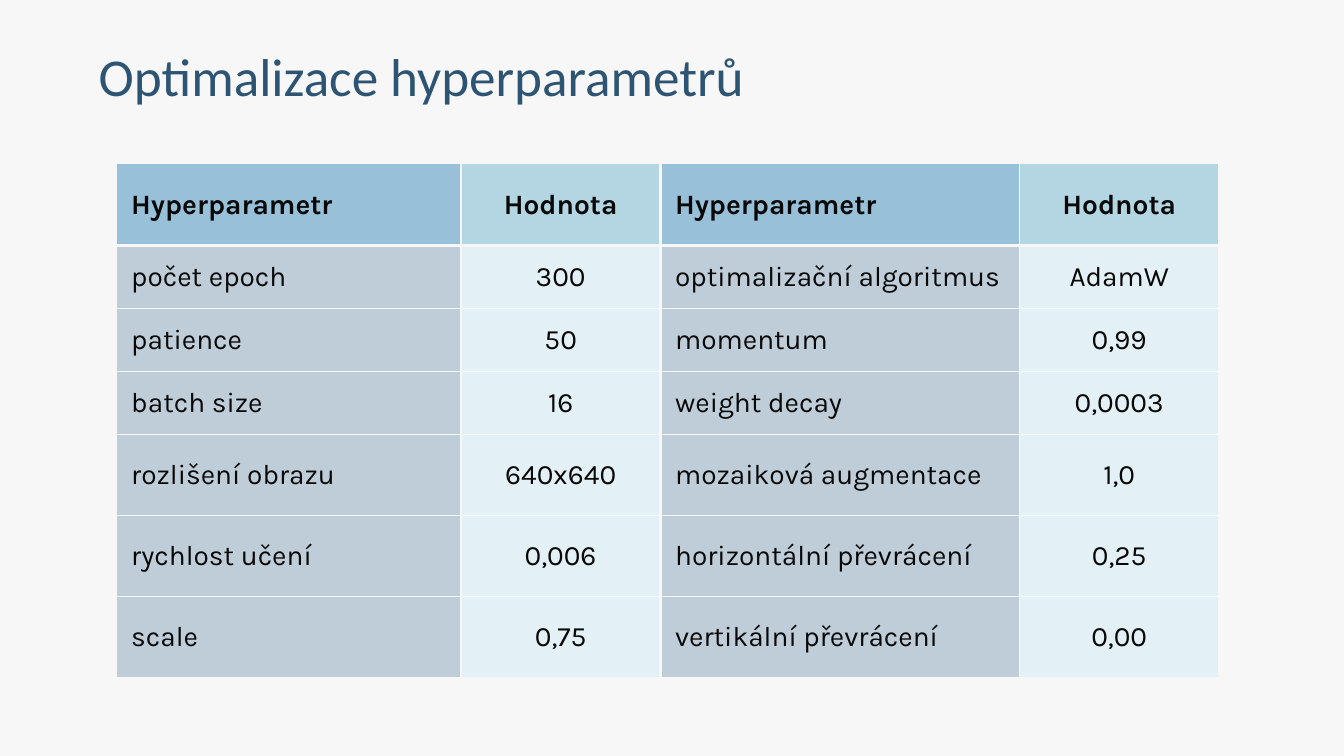
import pptx
import pptx.dml.color
import pptx.enum.text
import pptx.oxml
import pptx.oxml.ns
import pptx.util

PIXEL = 9525
BACKGROUND = pptx.dml.color.RGBColor(0xF7, 0xF7, 0xF7)
TITLE_BLUE = pptx.dml.color.RGBColor(0x2D, 0x55, 0x73)
INK = pptx.dml.color.RGBColor(0x08, 0x08, 0x08)
HEADER_NAME = pptx.dml.color.RGBColor(0x98, 0xC1, 0xD9)
HEADER_VALUE = pptx.dml.color.RGBColor(0xB4, 0xD6, 0xE3)
BODY_NAME = pptx.dml.color.RGBColor(0xBE, 0xCD, 0xD8)
BODY_VALUE = pptx.dml.color.RGBColor(0xE3, 0xF0, 0xF5)

COLUMN_WIDTHS = [328, 190, 342, 190]
ROW_HEIGHTS = [78, 59, 59, 59, 77, 77, 77]
HYPERPARAMETERS = [
    ["Hyperparametr", "Hodnota", "Hyperparametr", "Hodnota"],
    ["počet epoch", "300", "optimalizační algoritmus", "AdamW"],
    ["patience", "50", "momentum", "0,99"],
    ["batch size", "16", "weight decay", "0,0003"],
    ["rozlišení obrazu", "640x640", "mozaiková augmentace", "1,0"],
    ["rychlost učení", "0,006", "horizontální převrácení", "0,25"],
    ["scale", "0,75", "vertikální převrácení", "0,00"],
]


def px(length):
    return pptx.util.Emu(length * PIXEL)


def apply_format(target, values):
    for name, value in values.items():
        setattr(target, name, value)


def write_text(frame, text, font_name, size, color, bold=False):
    para = frame.paragraphs[0]
    span = para.add_run()
    span.text = text
    apply_format(span.font, {"name": font_name, "size": pptx.util.Pt(size), "bold": bold})
    span.font.color.rgb = color
    return para


def add_title(page, text):
    box = page.shapes.add_textbox(px(94), px(36), px(847), px(71))
    apply_format(box.text_frame, {
        "word_wrap": True,
        "auto_size": pptx.enum.text.MSO_AUTO_SIZE.SHAPE_TO_FIT_TEXT,
        "margin_left": 0,
        "margin_right": px(10),
        "margin_top": px(5),
        "margin_bottom": px(5),
    })
    write_text(box.text_frame, text, "Calibri", 38, TITLE_BLUE)


def set_borders(cell, widths):
    properties = cell._tc.get_or_add_tcPr()
    for position, (side, width) in enumerate(widths.items()):
        line = pptx.oxml.parse_xml(
            f'<a:ln{side} {pptx.oxml.ns.nsdecls("a")} w="{int(pptx.util.Pt(width))}">'
            f'<a:solidFill><a:srgbClr val="{BACKGROUND}"/></a:solidFill></a:ln{side}>'
        )
        properties.insert(position, line)


def fill_cell(cell, text, row, column):
    is_header = row == 0
    is_value = column % 2 == 1
    margin = px(14)
    apply_format(cell, {
        "vertical_anchor": pptx.enum.text.MSO_ANCHOR.MIDDLE,
        "margin_left": margin,
        "margin_right": margin,
        "margin_top": margin,
        "margin_bottom": margin,
    })
    para = write_text(cell.text_frame, text, "Karla", 20, INK, is_header)
    alignment = pptx.enum.text.PP_ALIGN
    apply_format(para, {
        "alignment": alignment.CENTER if is_value else alignment.LEFT,
        "space_after": pptx.util.Pt(3),
    })
    name_fill, value_fill = (HEADER_NAME, HEADER_VALUE) if is_header else (BODY_NAME, BODY_VALUE)
    cell.fill.solid()
    cell.fill.fore_color.rgb = value_fill if is_value else name_fill
    set_borders(cell, {
        "L": 3 if column == 2 else 1,
        "R": 3 if column == 1 else 1,
        "T": 2.25 if row == 1 else 1,
        "B": 2.25 if is_header else 1,
    })


def add_parameter_table(page):
    frame = page.shapes.add_table(
        len(ROW_HEIGHTS), len(COLUMN_WIDTHS), px(111), px(156),
        px(sum(COLUMN_WIDTHS)), px(sum(ROW_HEIGHTS)),
    )
    table = frame.table
    apply_format(table, {"first_row": False, "horz_banding": False})
    for column, width in zip(table.columns, COLUMN_WIDTHS):
        column.width = px(width)
    for row, height in zip(table.rows, ROW_HEIGHTS):
        row.height = px(height)
    for row, texts in enumerate(HYPERPARAMETERS):
        for column, text in enumerate(texts):
            fill_cell(table.cell(row, column), text, row, column)


def main():
    deck = pptx.Presentation()
    apply_format(deck, {"slide_width": px(1280), "slide_height": px(720)})
    page = deck.slides.add_slide(deck.slide_layouts[6])
    page.background.fill.solid()
    page.background.fill.fore_color.rgb = BACKGROUND
    add_title(page, "Optimalizace hyperparametrů")
    add_parameter_table(page)
    deck.save("out.pptx")


if __name__ == "__main__":
    main()
